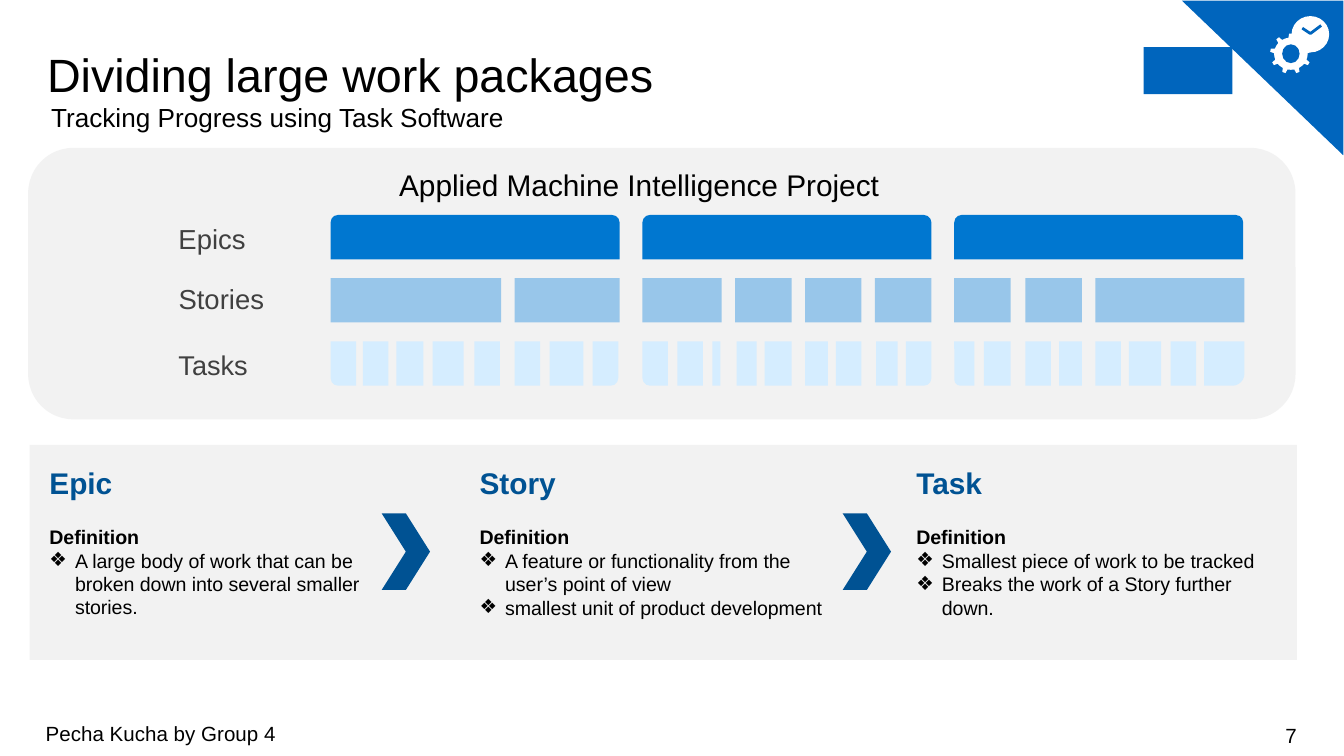
from lxml import etree
from pptx import Presentation
from pptx.dml.color import RGBColor
from pptx.enum import shapes, text
from pptx.oxml.ns import qn
from pptx.util import Inches, Pt

COLORS = {
    "black": "000000", "label": "404040", "panel": "F2F2F2", "white": "FFFFFF",
    "corner": "0065BD", "heading": "005293",
    "epic": "0077D0", "story": "98C6EA", "task": "D5EDFF",
}
KIND = shapes.MSO_SHAPE
ALIGN = text.PP_ALIGN
ANCHOR = text.MSO_ANCHOR

prs = Presentation()
prs.slide_width = Inches(10)
prs.slide_height = int(prs.slide_width * 9 / 16)
slide = prs.slides.add_slide(prs.slide_layouts[5])


def add_block(kind, left, top, width, height, color):
    block = slide.shapes.add_shape(
        kind, Inches(left), Inches(top), Inches(width), Inches(height))
    block.shadow.inherit = False
    block.fill.solid()
    block.fill.fore_color.rgb = RGBColor.from_string(COLORS[color])
    block.line.fill.background()
    return block


def write(holder, words, size, color="black", bold=False, align=ALIGN.LEFT,
          anchor=ANCHOR.TOP, margins=(0.1, 0.05), spacing=None, before=0, bullet=None):
    """Fill the holder's empty first paragraph, or add a paragraph after its text."""
    frame = holder.text_frame
    frame.word_wrap = True
    frame.auto_size = text.MSO_AUTO_SIZE.NONE
    frame.vertical_anchor = anchor
    frame.margin_left = frame.margin_right = Inches(margins[0])
    frame.margin_top = frame.margin_bottom = Inches(margins[1])
    paragraph = frame.add_paragraph() if frame.text else frame.paragraphs[0]
    paragraph.alignment = align
    paragraph.space_before = Pt(before)
    if spacing:
        paragraph.line_spacing = spacing
    if bullet:
        properties = paragraph._p.get_or_add_pPr()
        properties.set("marL", str(Inches(0.19)))
        properties.set("indent", str(-Inches(0.19)))
        etree.SubElement(properties, qn("a:buFont")).set("typeface", "Arial")
        etree.SubElement(properties, qn("a:buChar")).set("char", bullet)
    run = paragraph.add_run()
    run.text = words
    run.font.name = "Arial"
    run.font.size = Pt(size)
    run.font.bold = bold
    run.font.color.rgb = RGBColor.from_string(COLORS[color])


# Header
title = slide.shapes.title
title.left, title.top = Inches(0.35), Inches(0.31)
title.width, title.height = Inches(8.63), Inches(0.42)
write(title, "Dividing large work packages", 25, margins=(0, 0), spacing=Pt(32))

add_block(KIND.RECTANGLE, 8.51, 0.35, 0.66, 0.35, "corner")
corner = add_block(KIND.ISOSCELES_TRIANGLE, 8.82, -0.02, 1.15, 1.2, "corner")
corner.adjustments[0] = 1
corner.rotation = 270

# Gear and clock icon
add_block(KIND.OVAL, 9.61, 0.12, 0.28, 0.27, "white")
add_block(KIND.GEAR_9, 9.45, 0.25, 0.31, 0.3, "white")
add_block(KIND.OVAL, 9.54, 0.33, 0.13, 0.14, "corner")
hands_builder = slide.shapes.build_freeform(Inches(9.69), Inches(0.21))
hands_builder.add_line_segments(
    [(Inches(9.75), Inches(0.25)), (Inches(9.83), Inches(0.19))], close=False)
clock_hands = hands_builder.convert_to_shape()
clock_hands.shadow.inherit = False
clock_hands.fill.background()
clock_hands.line.color.rgb = RGBColor.from_string(COLORS["corner"])
clock_hands.line.width = Pt(1.5)

# Panels
add_block(KIND.ROUNDED_RECTANGLE, 0.21, 1.1, 9.43, 2.02, "panel")
add_block(KIND.RECTANGLE, 0.22, 3.31, 9.43, 1.6, "panel")

# Project breakdown: (left, width) of the stories and tasks under each epic
breakdown = [
    ([(2.46, 1.27), (3.83, 0.78)],
     [(2.46, 0.19), (2.7, 0.19), (2.95, 0.2), (3.22, 0.23), (3.53, 0.19),
      (3.83, 0.19), (4.09, 0.25), (4.41, 0.19)]),
    ([(4.78, 0.59), (5.47, 0.42), (5.99, 0.42), (6.51, 0.42)],
     [(4.78, 0.19), (5.04, 0.19), (5.3, 0.06), (5.48, 0.15), (5.69, 0.2),
      (5.99, 0.17), (6.22, 0.19), (6.52, 0.16), (6.74, 0.19)]),
    ([(7.1, 0.42), (7.63, 0.42), (8.15, 1.11)],
     [(7.1, 0.15), (7.32, 0.2), (7.63, 0.19), (7.88, 0.17), (8.15, 0.19),
      (8.4, 0.24), (8.71, 0.19), (8.96, 0.3)]),
]
bar_height = 0.33
for number, (stories, tasks) in enumerate(breakdown):
    add_block(KIND.ROUND_2_SAME_RECTANGLE, 2.46 + 2.32 * number, 1.6, 2.15, bar_height, "epic")
    for left, width in stories:
        add_block(KIND.RECTANGLE, left, 2.07, width, bar_height, "story")
    for left, width in tasks[1:-1]:
        add_block(KIND.RECTANGLE, left, 2.54, width, bar_height, "task")
    # The outer tasks round the lower corners of the column
    for left, width in (tasks[0], tasks[-1]):
        outer = add_block(KIND.ROUND_1_RECTANGLE, left, 2.54, width, bar_height, "task")
        outer.adjustments[0] = 0.3
        outer.rotation = 180
    outer._element.spPr.find(qn("a:xfrm")).set("flipH", "1")

# Single-paragraph texts: place, wording, format
flush = {"margins": (0, 0), "spacing": 1.14}
footer = {"margins": (0, 0.05), "anchor": ANCHOR.MIDDLE}
label = {"color": "label"}
captions = [
    ((0.38, 0.72, 3.58, 0.25), "Tracking Progress using Task Software", 14, flush),
    ((2.97, 1.2, 3.76, 0.28), "Applied Machine Intelligence Project", 16, flush),
    ((1.23, 1.6, 1.56, 0.35), "Epics", 14.7, label),
    ((1.23, 2.05, 1.81, 0.35), "Stories", 14.7, label),
    ((1.23, 2.54, 0.83, 0.35), "Tasks", 14.5, label),
    ((0.34, 5.31, 7.07, 0.3), "Pecha Kucha by Group 4", 11, footer),
    ((7.41, 5.32, 2.24, 0.3), "7", 11, {**footer, "align": ALIGN.RIGHT}),
]
for place, words, size, style in captions:
    caption = slide.shapes.add_textbox(*map(Inches, place))
    write(caption, words, size, **style)

# Definitions
definitions = [
    (0.27, 2.6, 1.43, "Epic",
     ["A large body of work that can be broken down into several smaller stories."]),
    (3.47, 2.92, 1.25, "Story",
     ["A feature or functionality from the user’s point of view",
      "smallest unit of product development"]),
    (6.72, 2.93, 1.25, "Task",
     ["Smallest piece of work to be tracked",
      "Breaks the work of a Story further down."]),
]
for left, width, height, term, points in definitions:
    definition = slide.shapes.add_textbox(
        Inches(left), Inches(3.41), Inches(width), Inches(height))
    write(definition, term, 16, color="heading", bold=True)
    write(definition, "Definition", 10.5, bold=True, before=13)
    for point in points:
        write(definition, point, 10.5, bullet="❖")

for left in (2.84, 6.27):
    add_block(KIND.CHEVRON, left, 3.82, 0.36, 0.57, "heading")

prs.save("out.pptx")
